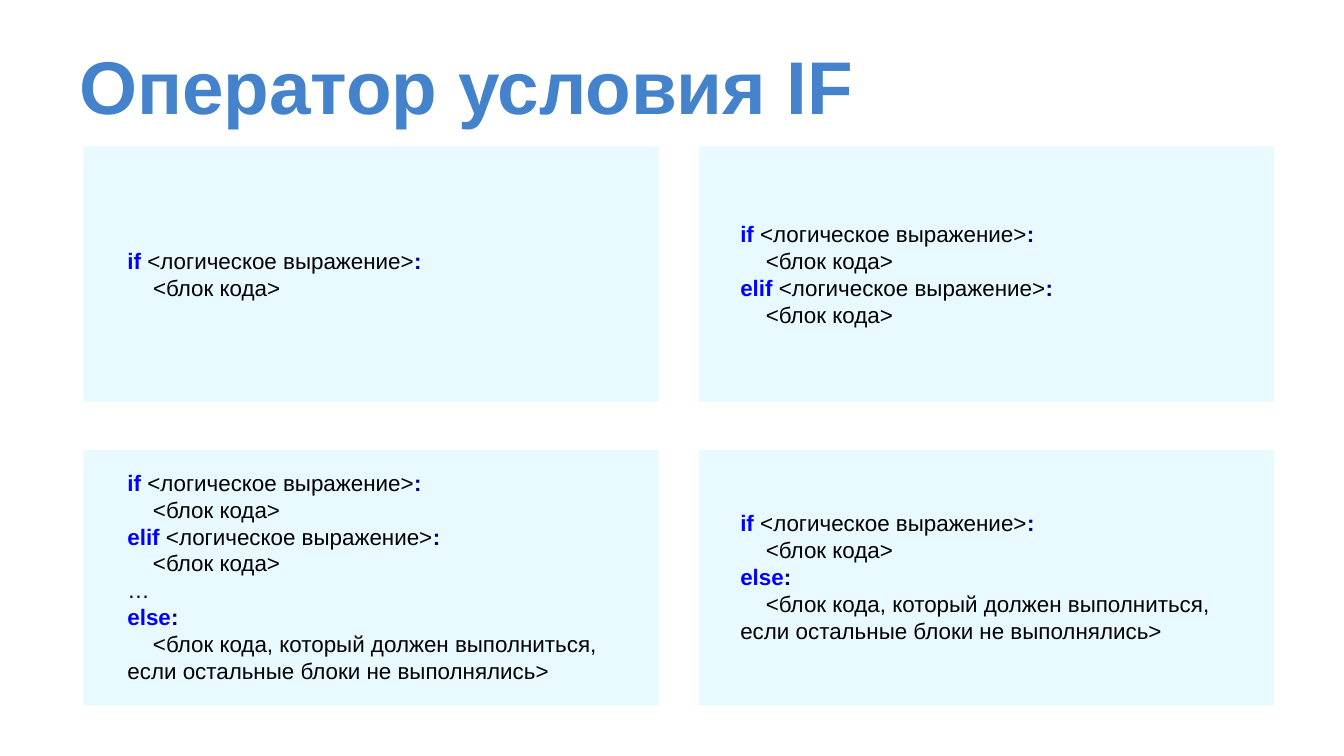
from pptx import Presentation
from pptx.dml.color import RGBColor
from pptx.enum import shapes, text
from pptx.util import Inches, Pt

COLORS = {"title": "4482CC", "panel": "E8F9FF", "keyword": "0000FF",
          "colon": "000080", "body": "000000"}

CONDITION = "<логическое выражение>"
BLOCK = ("", "<блок кода>", "")
IF = [("if ", CONDITION, ":"), BLOCK]
ELIF = [("elif ", CONDITION, ":"), BLOCK]
ELSE = [("else", "", ":"),
        ("", "<блок кода, который должен выполниться, если остальные блоки не выполнялись>", "")]
DOTS = [("", "…", "")]


def add_run(p, words, size, color, bold):
    r = p.add_run()
    r.text = words
    r.font.name = "Arial"
    r.font.size = Pt(size)
    r.font.bold = bold
    r.font.color.rgb = RGBColor.from_string(COLORS[color])


def add_text_box(s, left, top, width, height):
    tf = s.shapes.add_textbox(Inches(left), Inches(top), Inches(width), Inches(height)).text_frame
    tf.word_wrap = True
    tf.vertical_anchor = text.MSO_ANCHOR.TOP
    return tf


prs = Presentation()
prs.slide_width = Inches(10)
prs.slide_height = Inches(10 * 9 / 16)
s = prs.slides.add_slide(prs.slide_layouts[6])

for top in (1.09, 3.35):
    for left in (0.62, 5.2):
        sp = s.shapes.add_shape(shapes.MSO_SHAPE.RECTANGLE, Inches(left), Inches(top),
                                Inches(4.28), Inches(1.9))
        sp.shadow.inherit = False
        sp.fill.solid()
        sp.fill.fore_color.rgb = RGBColor.from_string(COLORS["panel"])
        sp.line.fill.background()

tf = add_text_box(s, 0.49, 0.2, 8.88, 0.76)
tf.margin_top = tf.margin_bottom = Inches(0.1)
add_run(tf.paragraphs[0], "Оператор условия IF", 40, "title", True)

examples = [
    (0.85, 1.79, 3.28, 0.5, IF),
    (5.41, 1.59, 4.34, 0.91, IF + ELIF),
    (0.85, 3.44, 3.9, 1.72, IF + ELIF + DOTS + ELSE),
    (5.41, 3.74, 3.72, 1.11, IF + ELSE),
]
for left, top, width, height, lines in examples:
    tf = add_text_box(s, left, top, width, height)
    for i, (keyword, body, colon) in enumerate(lines):
        p = tf.add_paragraph() if i else tf.paragraphs[0]
        if body.startswith("<блок"):
            p._p.get_or_add_pPr().set("indent", str(Inches(0.19)))
        for words, color in ((keyword, "keyword"), (body, "body"), (colon, "colon")):
            if words:
                add_run(p, words, 12, color, color != "body")

prs.save("out.pptx")
